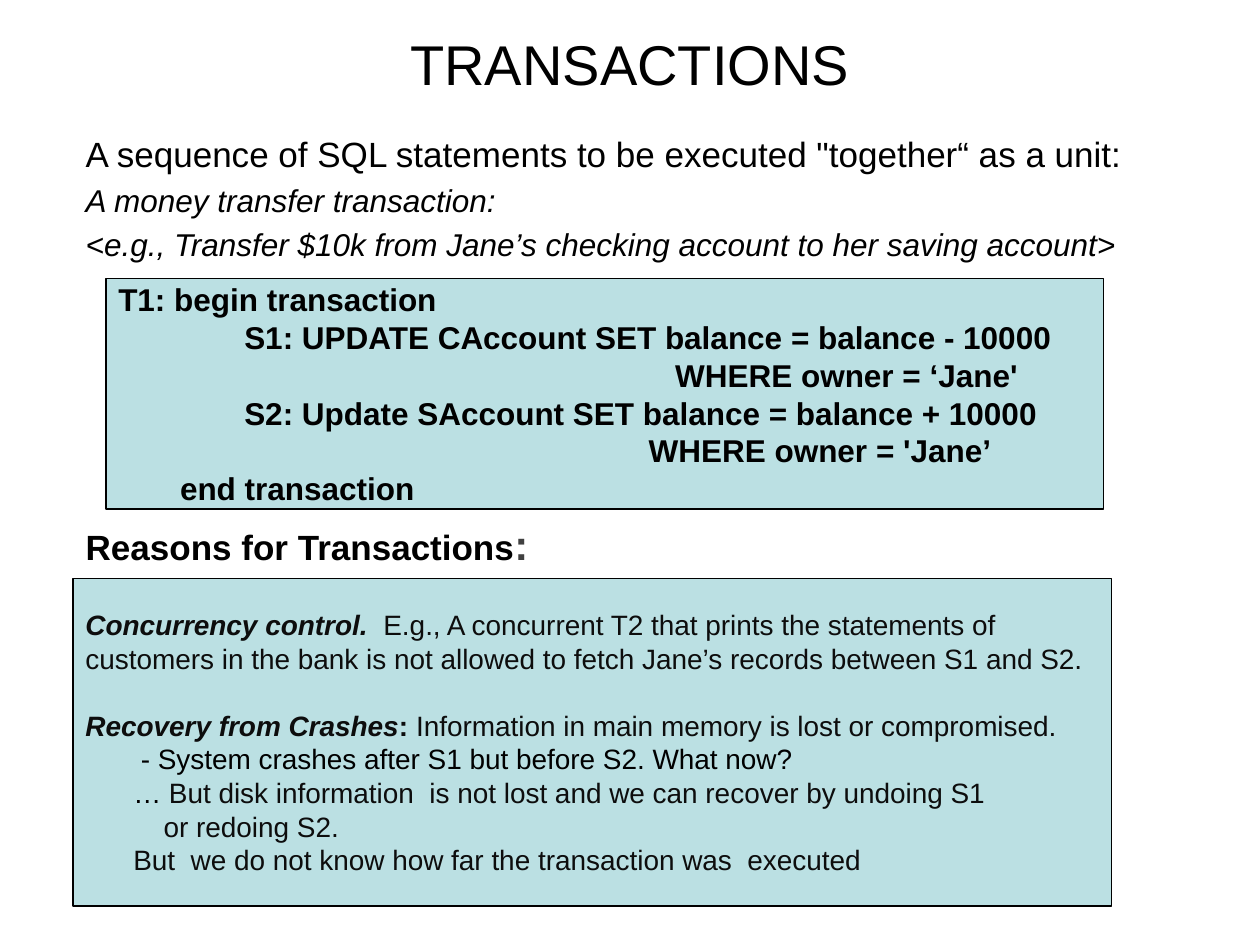
import pptx
import pptx.util
import pptx.dml.color
import pptx.enum.shapes
import pptx.enum.text
import lxml.etree

Inches = pptx.util.Inches
Pt = pptx.util.Pt


def color(value):
    return pptx.dml.color.RGBColor.from_string(value)


class SlideBuilder:
    FONT = "Arial"
    BLACK = "000000"
    SOFT_BLACK = "0D0D0D"
    GREY = "404040"
    PANEL = "BBE0E3"

    def __init__(self, slide):
        self.slide = slide

    def place(self, shape, left, top, width, height):
        shape.left, shape.top = Inches(left), Inches(top)
        shape.width, shape.height = Inches(width), Inches(height)

    def run(self, paragraph, text, size, fill=BLACK, bold=False, italic=False):
        run = paragraph.add_run()
        run.text = text
        run.font.name = self.FONT
        run.font.size = Pt(size)
        run.font.bold = bold
        run.font.italic = italic
        run.font.color.rgb = color(fill)

    def paragraph(self, frame, index, runs, indent=0, hanging=0, before=0):
        """Add one left-aligned paragraph; runs are (text, size, style) tuples."""
        paragraph = frame.add_paragraph() if index else frame.paragraphs[0]
        paragraph.alignment = pptx.enum.text.PP_ALIGN.LEFT
        paragraph.space_before = Pt(before)
        properties = paragraph._p.get_or_add_pPr()
        properties.set("marL", str(Inches(indent)))
        properties.set("indent", str(Inches(-hanging)))
        lxml.etree.SubElement(properties, pptx.oxml.ns.qn("a:buNone"))
        for text, size, style in runs:
            self.run(paragraph, text, size, **style)

    def title(self, text, box):
        shape = self.slide.shapes.title
        self.place(shape, *box)
        frame = shape.text_frame
        frame.vertical_anchor = pptx.enum.text.MSO_ANCHOR.MIDDLE
        frame.paragraphs[0].alignment = pptx.enum.text.PP_ALIGN.CENTER
        self.run(frame.paragraphs[0], text, 32)

    def body(self, lines, box):
        shape = self.slide.placeholders[1]
        self.place(shape, *box)
        shape.text_frame.auto_size = pptx.enum.text.MSO_AUTO_SIZE.NONE
        for index, (before, runs) in enumerate(lines):
            self.paragraph(shape.text_frame, index, runs, 0.38, 0.38, before)

    def panel(self, lines, box):
        shape = self.slide.shapes.add_shape(
            pptx.enum.shapes.MSO_SHAPE.RECTANGLE, *(Inches(value) for value in box))
        shape.shadow.inherit = False
        shape.fill.solid()
        shape.fill.fore_color.rgb = color(self.PANEL)
        shape.line.color.rgb = color(self.BLACK)
        shape.line.width = Pt(0.75)
        frame = shape.text_frame
        frame.word_wrap = True
        frame.vertical_anchor = pptx.enum.text.MSO_ANCHOR.MIDDLE
        for index, (indent, before, runs) in enumerate(lines):
            self.paragraph(frame, index, runs, indent, before=before)


def main():
    presentation = pptx.Presentation()
    presentation.slide_width = Inches(10)
    presentation.slide_height = Inches(7.5)
    builder = SlideBuilder(
        presentation.slides.add_slide(presentation.slide_layouts[1]))

    # Title and introduction
    builder.title("TRANSACTIONS", (0.5, 0, 9, 1))
    italic = {"italic": True}
    bold = {"bold": True}
    builder.body([
        (4, [("A sequence of SQL statements to be executed \"together“ as a unit:", 20, {})]),
        (3.6, [("A money transfer transaction:", 18, italic)]),
        (3.6, [("<e.g., Transfer $10k from Jane’s checking account to her saving account>",
                18, italic)]),
        # The space before this heading leaves room for the code panel
        (146, [("Reasons for Transactions", 20, bold),
               (":", 24, {"bold": True, "fill": builder.GREY})]),
    ], (0.58, 1, 8.58, 5.5))

    # Reasons panel
    soft = {"fill": builder.SOFT_BLACK}
    soft_bold = {**soft, "bold": True}
    lead = {**soft_bold, "italic": True}
    builder.panel([
        (0, 0, [("Concurrency control.  ", 16, lead),
                ("E.g., A concurrent T2 that prints the statements of", 16, soft)]),
        (0, 0, [("customers in the bank is not allowed to fetch Jane’s records "
                 "between S1 and S2.", 16, soft)]),
        (0, 19, [("Recovery from Crashes", 16, lead), (": ", 16, soft_bold),
                 ("Information in main memory is lost or compromised.", 16, soft)]),
        (0.44, 0, [("- System crashes after S1 but before S2. What now?", 16, {})]),
        (0.38, 0, [("… ", 16, {}),
                   ("But disk information  is not lost and we can recover by undoing S1",
                    16, soft)]),
        (0.62, 0, [("or redoing S2.", 16, soft)]),
        (0.38, 0, [("But  we do not know how far the transaction was  executed", 16, soft)]),
    ], (0.58, 4.59, 8.24, 2.6))

    # Transaction code panel
    code = [
        (0, "T1: begin transaction"),
        (1, "S1: UPDATE CAccount SET balance = balance - 10000"),
        (4.42, "WHERE owner = ‘Jane'"),
        (1, "S2: Update SAccount SET balance = balance + 10000"),
        (4.21, "WHERE owner = 'Jane’"),
        (0.49, "end transaction"),
    ]
    builder.panel([(indent, 0, [(text, 18, bold)]) for indent, text in code],
                  (0.84, 2.21, 7.92, 1.83))

    presentation.save("out.pptx")


if __name__ == "__main__":
    main()
